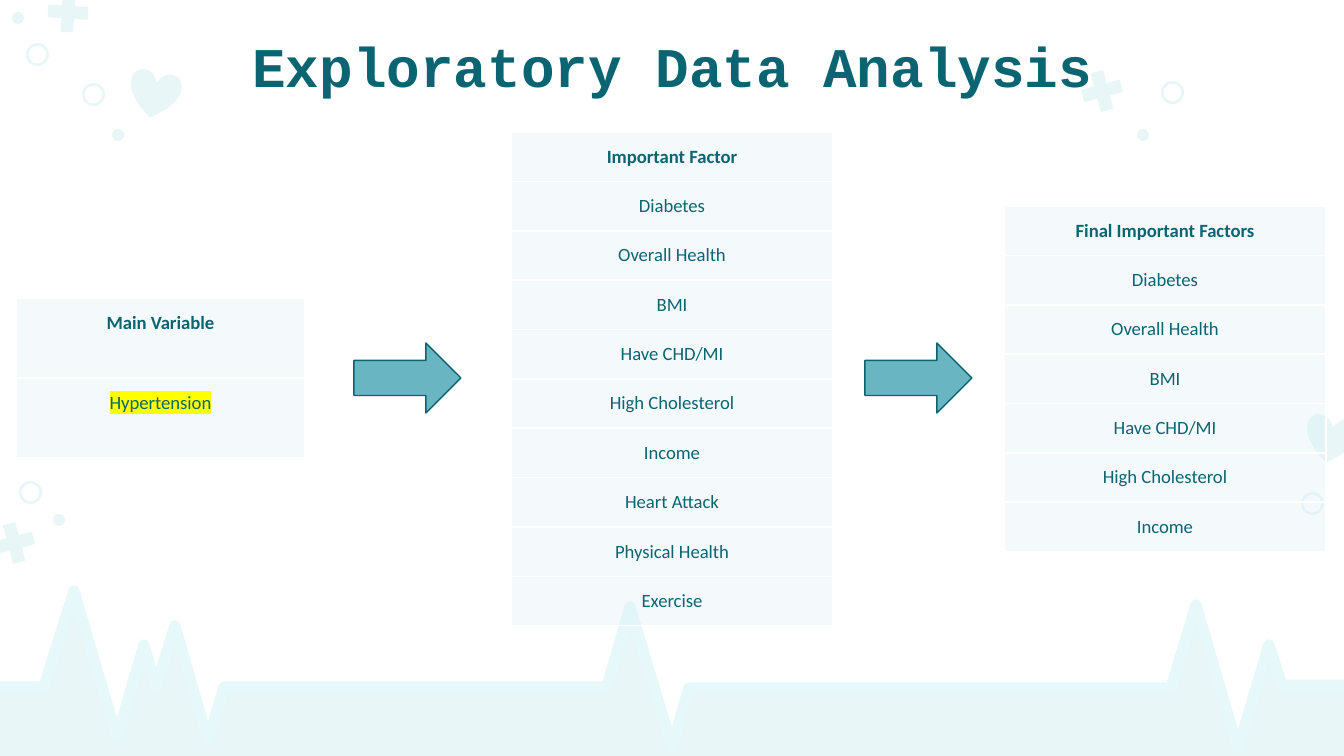
from lxml import etree
from pptx import Presentation
from pptx import util as u
from pptx.dml.color import RGBColor
from pptx.enum import shapes, text
from pptx.oxml import ns

PX = 914400 / 134.4
TEAL, PALE, YELLOW = "0B6472", "D5EFF3", "FFFF00"
KIND = shapes.MSO_SHAPE

WAVE = [(0, 687), (0, 759), (1345, 762), (1347, 684), (1282, 685), (1270, 646),
        (1241, 750), (1198, 606), (1172, 688), (694, 688), (676, 746), (634, 606),
        (610, 688), (226, 688), (211, 742), (176, 625), (157, 687), (144, 642),
        (114, 741), (71, 594), (43, 689)]
PULSE = [(0, 687), (44, 687), (74, 591), (117, 738), (144, 645), (156, 687),
         (175, 626), (208, 741), (224, 687), (607, 687), (630, 607), (672, 747),
         (689, 688), (1171, 688), (1196, 605), (1238, 749), (1269, 645),
         (1282, 685), (1348, 685)]

HEALTH = ["Diabetes", "Overall Health", "BMI", "Have CHD/MI", "High Cholesterol", "Income"]


def px(length):
    return u.Emu(round(length * PX))


def color(target, value, alpha=100):
    """Make a fill solid in a hex colour, with alpha in percent."""
    target.solid()
    target.fore_color.rgb = RGBColor.from_string(value)
    if alpha < 100:
        node = target._xPr.find(".//" + ns.qn("a:srgbClr"))
        etree.SubElement(node, ns.qn("a:alpha"), val=str(alpha * 1000))


def write(para, words, size, face, bold):
    para.alignment = text.PP_ALIGN.CENTER
    para.font.size = u.Pt(size)
    para.font.name = face
    para.font.bold = bold
    color(para.font.fill, TEAL)
    span = para.add_run()
    span.text = words
    return span


def highlight(span, value):
    mark = etree.SubElement(span.font._element, ns.qn("a:highlight"))
    etree.SubElement(mark, ns.qn("a:srgbClr"), val=value)


def add_preset(page, kind, left, top, width, height, rotation=0):
    shape = page.shapes.add_shape(kind, px(left), px(top), px(width), px(height))
    shape.shadow.inherit = False
    shape.rotation = rotation
    return shape


def add_outline(page, points, close):
    builder = page.shapes.build_freeform(*points[0], scale=PX)
    builder.add_line_segments(points[1:], close=close)
    shape = builder.convert_to_shape()
    shape.shadow.inherit = False
    return shape


def add_heartbeat(page):
    wave = add_outline(page, WAVE, True)
    color(wave.fill, PALE, 53)
    wave.line.fill.background()
    pulse = add_outline(page, PULSE, False)
    pulse.fill.background()
    pulse.line.width = u.Pt(6)
    color(pulse.line.fill, "E7F8FA")
    etree.SubElement(pulse.line._ln, ns.qn("a:round"))


def add_ornaments(page, left, top, dot=None, ring=None, cross=None, heart=None):
    """Scatter pale marks at (x, y) offsets from a corner; a cross adds its rotation."""
    marks = [(dot, KIND.OVAL, 12, 12, None),
             (ring, KIND.DONUT, 23, 23, 0.11),
             (cross, KIND.CROSS, 40, 40, 0.34),
             (heart, KIND.HEART, 51, 47, None)]
    for place, kind, width, height, adjust in marks:
        if place is None:
            continue
        x, y, *turn = place
        mark = add_preset(page, kind, left + x, top + y, width, height, *turn)
        color(mark.fill, PALE, 53)
        mark.line.fill.background()
        if adjust is not None:
            mark.adjustments[0] = adjust


def add_title(page, left, top, width, height):
    box = page.shapes.add_textbox(px(left), px(top), px(width), px(height))
    frame = box.text_frame
    frame.word_wrap = True
    frame.vertical_anchor = text.MSO_ANCHOR.MIDDLE
    write(frame.paragraphs[0], "Exploratory Data Analysis", 30, "Courier New", True)


def add_factor_table(page, left, top, width, row_height, heading, factors, marked=()):
    rows = [heading, *factors]
    table = page.shapes.add_table(len(rows), 1, px(left), px(top), px(width),
                                  px(row_height * len(rows))).table
    table.first_row = table.horz_banding = False
    for index, words in enumerate(rows):
        cell = table.cell(index, 0)
        color(cell.fill, PALE, 26)
        cell.margin_left = cell.margin_right = u.Inches(0.1)
        cell.margin_top = cell.margin_bottom = u.Inches(0.1)
        para = cell.text_frame.paragraphs[0]
        span = write(para, words, 10, "Calibri", index == 0)
        if index:
            para.space_after = u.Pt(16)
        if words in marked:
            highlight(span, YELLOW)


def add_arrow(page, left, top, width, height):
    arrow = add_preset(page, KIND.RIGHT_ARROW, left, top, width, height)
    color(arrow.fill, "69B6C2")
    color(arrow.line.fill, TEAL)
    arrow.line.width = u.Pt(0.75)


def main():
    deck = Presentation()
    deck.slide_width, deck.slide_height = px(1344), px(756)
    page = deck.slides.add_slide(deck.slide_layouts[6])

    add_heartbeat(page)
    add_ornaments(page, 0, 480, dot=(53, 34), ring=(19, 1), cross=(-6, 43, 75))
    add_ornaments(page, 0, 0, dot=(12, 12), ring=(26, 43), cross=(48, -8, 273.7))
    add_ornaments(page, 1300, 410, ring=(1, 82), heart=(5, 6, 11.5))
    add_ornaments(page, 1080, 70, dot=(57, 59), ring=(81, 11), cross=(2, 1, 345))
    add_ornaments(page, 80, 70, dot=(32, 59), ring=(2, 13), heart=(49, 1, 11.5))

    add_title(page, 106, 23, 1133, 85)
    add_factor_table(page, 16, 298, 289, 80, "Main Variable", ["Hypertension"],
                     marked=["Hypertension"])
    add_factor_table(page, 511, 132, 322, 49, "Important Factor",
                     HEALTH + ["Heart Attack", "Physical Health", "Exercise"])
    add_factor_table(page, 1004, 206, 322, 49, "Final Important Factors", HEALTH)
    for left in (354, 865):
        add_arrow(page, left, 343, 107, 70)
    deck.save("out.pptx")


if __name__ == "__main__":
    main()
